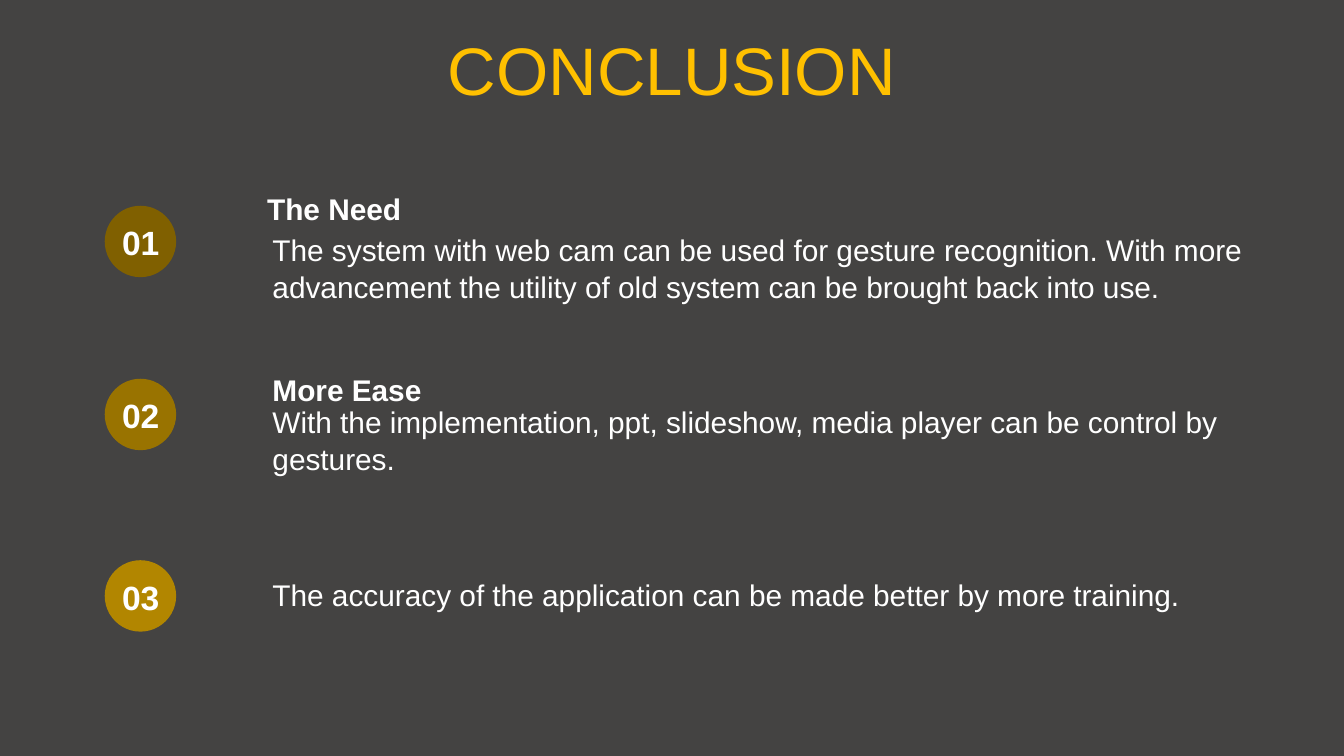
"""Build the conclusion slide with three numbered points."""
import pptx
import pptx.dml.color
import pptx.enum.shapes
import pptx.enum.text
import pptx.util

Cm = pptx.util.Cm
RGBColor = pptx.dml.color.RGBColor
ALIGN = pptx.enum.text.PP_ALIGN
ANCHOR = pptx.enum.text.MSO_ANCHOR

BACKGROUND = RGBColor(0x44, 0x43, 0x42)
GOLD = RGBColor(0xFF, 0xC0, 0x00)
WHITE = RGBColor(0xFF, 0xFF, 0xFF)
DARK_GOLD = RGBColor(0x80, 0x60, 0x00)
MEDIUM_GOLD = RGBColor(0x99, 0x73, 0x00)
LIGHT_GOLD = RGBColor(0xB2, 0x86, 0x00)


def write_text(shape, text, size=16, color=WHITE, bold=False,
               align=ALIGN.LEFT, anchor=ANCHOR.TOP, spacing=1.05):
    frame = shape.text_frame
    frame.word_wrap = True
    frame.auto_size = pptx.enum.text.MSO_AUTO_SIZE.NONE
    frame.vertical_anchor = anchor
    frame.text = text
    paragraph = frame.paragraphs[0]
    paragraph.alignment = align
    paragraph.line_spacing = spacing
    paragraph.space_before = pptx.util.Pt(0)
    font = paragraph.runs[0].font
    font.name = "Arial"
    font.size = pptx.util.Pt(size)
    font.bold = bold
    font.color.rgb = color


presentation = pptx.Presentation()
presentation.slide_width = Cm(25.4)
presentation.slide_height = Cm(14.29)
slide = presentation.slides.add_slide(presentation.slide_layouts[5])
slide.background.fill.solid()
slide.background.fill.fore_color.rgb = BACKGROUND

title = slide.shapes.title
title.left, title.top = Cm(0), Cm(0.43)
title.width, title.height = Cm(25.4), Cm(1.6)
write_text(title, "CONCLUSION", size=36, color=GOLD, align=ALIGN.CENTER,
           anchor=ANCHOR.MIDDLE, spacing=1.1)

badges = [
    ("01", 3.89, DARK_GOLD),
    ("02", 7.16, MEDIUM_GOLD),
    ("03", 10.59, LIGHT_GOLD),
]
for number, top, color in badges:
    circle = slide.shapes.add_shape(
        pptx.enum.shapes.MSO_SHAPE.OVAL, Cm(1.98), Cm(top), Cm(1.35), Cm(1.35))
    circle.shadow.inherit = False
    circle.fill.solid()
    circle.fill.fore_color.rgb = color
    circle.line.fill.background()
    label = slide.shapes.add_textbox(Cm(1.9), Cm(top + 0.15), Cm(1.52), Cm(1.02))
    write_text(label, number, size=18, bold=True, align=ALIGN.CENTER)

texts = [
    ("The Need", 4.8, 3.45, 0.94, True),
    ("The system with web cam can be used for gesture recognition. With more "
     "advancement the utility of old system can be brought back into use.",
     4.9, 4.22, 1.63, False),
    ("More Ease", 4.9, 6.86, 0.94, True),
    ("With the implementation, ppt, slideshow, media player can be control by "
     "gestures.", 4.9, 7.47, 1.63, False),
    ("The accuracy of the application can be made better by more training.",
     4.9, 10.74, 0.94, False),
]
for text, left, top, height, bold in texts:
    box = slide.shapes.add_textbox(Cm(left), Cm(top), Cm(19.81), Cm(height))
    write_text(box, text, bold=bold)

presentation.save("out.pptx")
